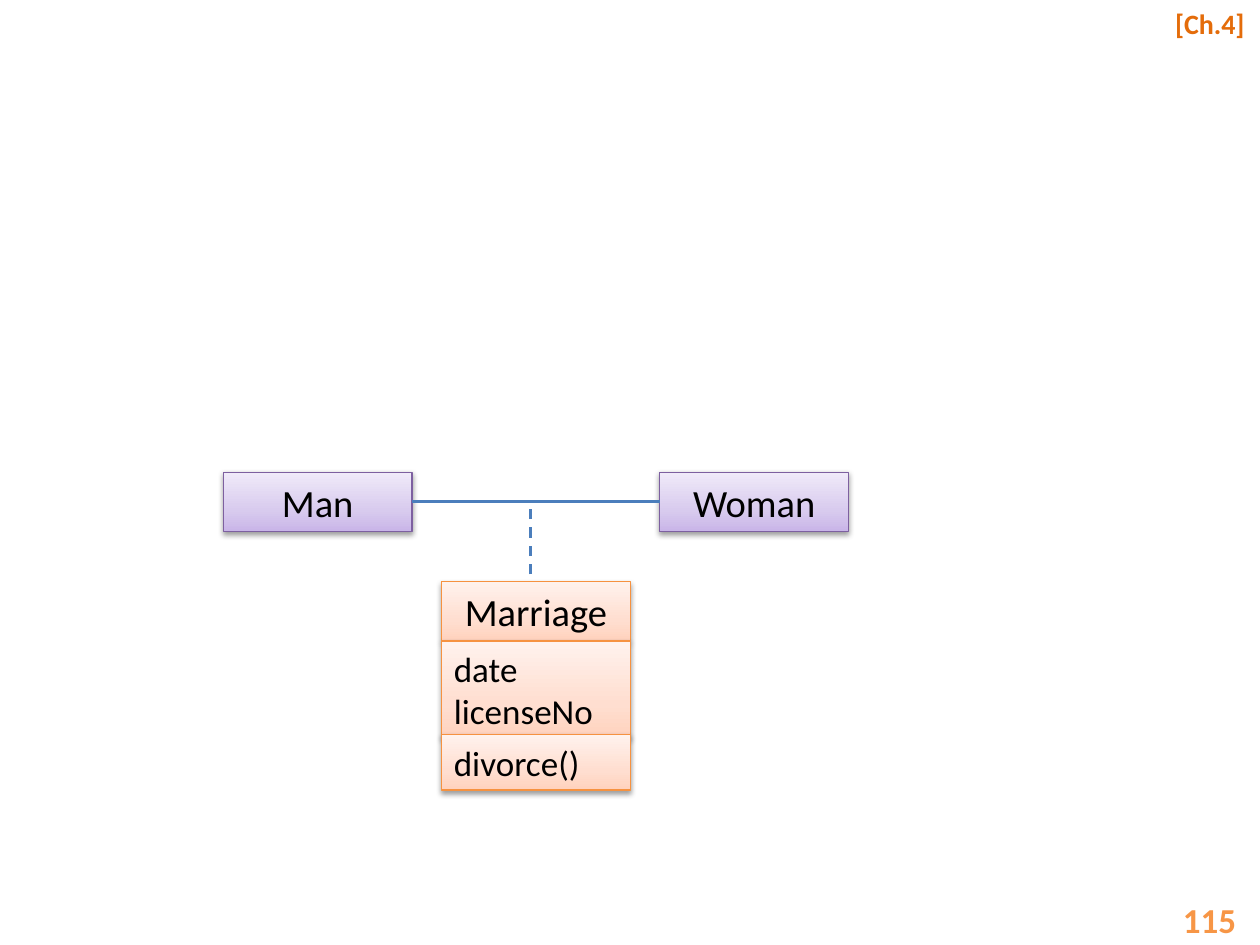
"""Build a class diagram slide with an association class."""
from copy import deepcopy
from dataclasses import dataclass

from lxml import etree
from pptx import Presentation
from pptx.dml.color import RGBColor
from pptx.enum.dml import MSO_LINE
from pptx.enum.shapes import MSO_CONNECTOR, MSO_SHAPE
from pptx.enum.text import MSO_ANCHOR, PP_ALIGN
from pptx.oxml import parse_xml
from pptx.oxml.ns import nsdecls, qn
from pptx.util import Cm, Pt

LEFT, CENTER, RIGHT = PP_ALIGN.LEFT, PP_ALIGN.CENTER, PP_ALIGN.RIGHT
TOP, MIDDLE = MSO_ANCHOR.TOP, MSO_ANCHOR.MIDDLE
RECTANGLE = MSO_SHAPE.RECTANGLE
STRAIGHT = MSO_CONNECTOR.STRAIGHT
DASH = MSO_LINE.DASH
RIGHT_SIDE, LEFT_SIDE = 3, 1

FONT = "Calibri"
BLACK = RGBColor(0x00, 0x00, 0x00)
ORANGE = RGBColor(0xF7, 0x96, 0x46)
DARK_ORANGE = RGBColor(0xE4, 0x6C, 0x0A)
BLUE = RGBColor(0x4B, 0x7E, 0xBC)
STOP_POSITIONS = (0, 0.35, 1)
BOX_WIDTH = 3.81
NAME_HEIGHT = 1.19
SHADOW = (
    f'<a:outerShdw {nsdecls("a")} blurRad="40000" dist="20000" dir="5400000" '
    'rotWithShape="0"><a:srgbClr val="000000"><a:alpha val="38000"/>'
    "</a:srgbClr></a:outerShdw>"
)


@dataclass(frozen=True)
class Palette:
    """Outline colour and gradient colours from bottom to top."""

    outline: RGBColor
    stops: tuple[RGBColor, ...]


@dataclass(frozen=True)
class ClassBox:
    """One compartment of a class, measured in centimetres."""

    text: str
    left: float
    top: float
    height: float
    palette: Palette
    size: int = 22
    align: PP_ALIGN = CENTER


PURPLE_BOX = Palette(
    RGBColor(0x7D, 0x60, 0xA0),
    (RGBColor(0xC9, 0xB5, 0xE8), RGBColor(0xD8, 0xCB, 0xEE), RGBColor(0xF0, 0xEA, 0xF9)),
)
ORANGE_BOX = Palette(
    RGBColor(0xF6, 0x92, 0x40),
    (RGBColor(0xFF, 0xD2, 0xBD), RGBColor(0xFF, 0xDE, 0xD0), RGBColor(0xFF, 0xF2, 0xED)),
)
MAN = ClassBox("Man", 4.5, 9.52, NAME_HEIGHT, PURPLE_BOX)
WOMAN = ClassBox("Woman", 13.3, 9.52, NAME_HEIGHT, PURPLE_BOX)
MARRIAGE = (
    ClassBox("Marriage", 8.9, 11.73, NAME_HEIGHT, ORANGE_BOX),
    ClassBox("date\nlicenseNo", 8.9, 12.92, 1.96, ORANGE_BOX, 20, LEFT),
    ClassBox("divorce()", 8.9, 14.81, 1.12, ORANGE_BOX, 20, LEFT),
)


def write_text(shape, text: str, *, size: int, color: RGBColor, bold: bool = False,
               align: PP_ALIGN = LEFT, anchor: MSO_ANCHOR = MIDDLE) -> None:
    """Write formatted paragraphs into a shape."""
    frame = shape.text_frame
    frame.word_wrap = True
    frame.vertical_anchor = anchor
    frame.text = text
    for paragraph in frame.paragraphs:
        paragraph.alignment = align
        for span in paragraph.runs:
            span.font.name = FONT
            span.font.size = Pt(size)
            span.font.bold = bold
            span.font.color.rgb = color


def add_label(page, text: str, left: float, top: float, width: float, height: float,
              **text_format) -> None:
    """Add a text box."""
    box = page.shapes.add_textbox(Cm(left), Cm(top), Cm(width), Cm(height))
    write_text(box, text, **text_format)


def paint_gradient(shape, colors: tuple[RGBColor, ...]) -> None:
    """Fill a shape with a three-stop gradient rising from the bottom."""
    shape.fill.gradient()
    shape.fill.gradient_angle = 90
    stop_list = next(shape.element.spPr.iter(qn("a:gsLst")))
    stop_list.insert(0, deepcopy(stop_list[0]))
    for stop, position, color in zip(shape.fill.gradient_stops, STOP_POSITIONS, colors):
        stop.position = position
        stop.color.rgb = color


def add_class_box(page, item: ClassBox):
    """Add a shaded class compartment and return it."""
    box = page.shapes.add_shape(
        RECTANGLE, Cm(item.left), Cm(item.top), Cm(BOX_WIDTH), Cm(item.height)
    )
    paint_gradient(box, item.palette.stops)
    box.line.color.rgb = item.palette.outline
    box.line.width = Pt(0.75)
    box.shadow.inherit = False
    box.element.spPr.find(qn("a:effectLst")).append(parse_xml(SHADOW))
    write_text(box, item.text, size=item.size, color=BLACK, align=item.align)
    return box


def add_line(page, start: tuple[float, float], end: tuple[float, float]):
    """Add a blue line without shadow and return it."""
    line = page.shapes.add_connector(STRAIGHT, *map(Cm, start + end))
    line.line.color.rgb = BLUE
    line.line.width = Pt(1.5)
    etree.SubElement(line.element.spPr, qn("a:effectLst"))
    return line


def main() -> None:
    """Create and save the deck."""
    deck = Presentation()
    deck.slide_width, deck.slide_height = Cm(25.4), Cm(19.05)
    page = deck.slides.add_slide(deck.slide_layouts[6])

    add_label(page, "115", 21.77, 18.03, 3.4, 1.02,
              size=20, color=ORANGE, bold=True, align=RIGHT)
    add_label(page, "[Ch.4]", 23.44, 0, 1.96, 0.94,
              size=16, color=DARK_ORANGE, bold=True, anchor=TOP)

    man, woman = add_class_box(page, MAN), add_class_box(page, WOMAN)
    for compartment in MARRIAGE:
        add_class_box(page, compartment)

    middle = MAN.top + NAME_HEIGHT / 2
    association = add_line(page, (MAN.left + BOX_WIDTH, middle), (WOMAN.left, middle))
    association.begin_connect(man, RIGHT_SIDE)
    association.end_connect(woman, LEFT_SIDE)
    add_line(page, (10.69, 11.58), (10.69, 10.19)).line.dash_style = DASH

    deck.save("out.pptx")


if __name__ == "__main__":
    main()
